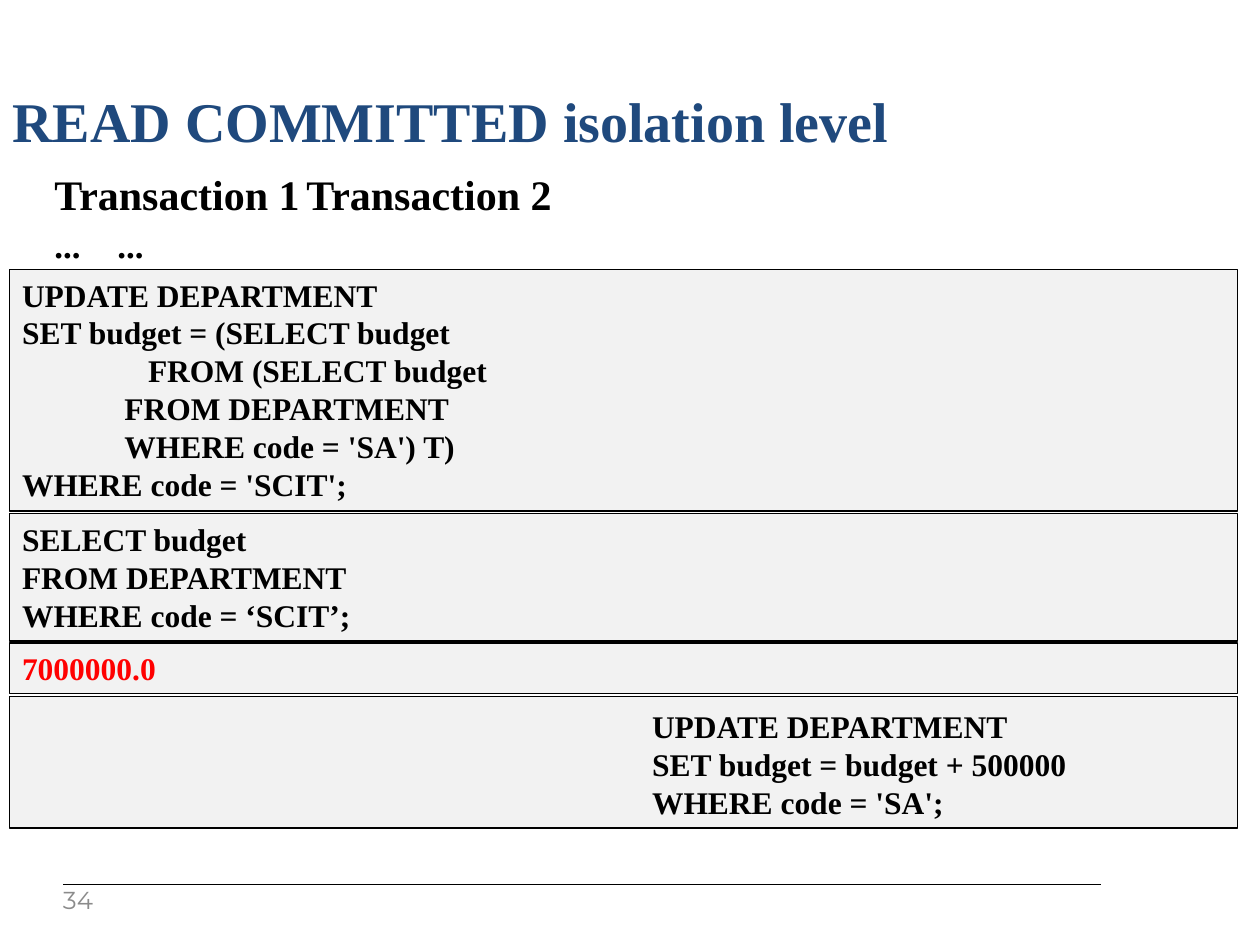
from dataclasses import dataclass

from lxml.etree import SubElement
from pptx import Presentation
from pptx.dml.color import RGBColor
from pptx.enum.shapes import MSO_CONNECTOR, MSO_SHAPE
from pptx.enum.text import MSO_ANCHOR, PP_ALIGN
from pptx.oxml.ns import qn
from pptx.util import Pt

SERIF = "Times New Roman"
BLACK, RED, BLUE, GREY, PALE = "000000", "FF0000", "1F497D", "8B8B8B", "F2F2F2"
LINE_HEIGHT = 1.2
COLUMN_2 = 360  # offset of the second transaction's column


@dataclass
class Line:
    text: str
    indent: float = 0
    size: float = 18
    color: str = BLACK
    font: str = SERIF
    bold: bool = True
    tab: float = 0
    height: float = 0  # line height, when it differs from the rule


@dataclass
class Panel:
    top: float
    height: float
    lines: list[Line]


def rgb(value: str) -> RGBColor:
    return RGBColor.from_string(value)


def write(sp, lines: list[Line], anchor=MSO_ANCHOR.TOP) -> None:
    tf = sp.text_frame
    tf.word_wrap = True
    tf.vertical_anchor = anchor
    for i, line in enumerate(lines):
        p = tf.add_paragraph() if i else tf.paragraphs[0]
        p.alignment = PP_ALIGN.LEFT
        p.line_spacing = Pt(line.height or line.size * LINE_HEIGHT)
        r = p.add_run()
        r.text = line.text
        r.font.size = Pt(line.size)
        r.font.name = line.font
        r.font.bold = line.bold
        r.font.color.rgb = rgb(line.color)
        pPr = p._p.get_or_add_pPr()
        pPr.set("marL", str(Pt(line.indent)))
        pPr.set("indent", "0")
        if line.tab:
            tabs = SubElement(pPr, qn("a:tabLst"))
            SubElement(tabs, qn("a:tab"), pos=str(Pt(line.tab)), algn="l")


def add_text(s, left: float, top: float, width: float, height: float,
             line: Line, anchor=MSO_ANCHOR.TOP):
    sp = s.shapes.add_textbox(Pt(left), Pt(top), Pt(width), Pt(height))
    write(sp, [line], anchor)
    return sp


def add_panel(s, panel: Panel) -> None:
    sp = s.shapes.add_shape(MSO_SHAPE.RECTANGLE, Pt(5.5), Pt(panel.top),
                            Pt(701.5), Pt(panel.height))
    sp.shadow.inherit = False
    sp.fill.solid()
    sp.fill.fore_color.rgb = rgb(PALE)
    sp.line.color.rgb = rgb(BLACK)
    sp.line.width = Pt(0.75)
    write(sp, panel.lines)


def add_rule(s, left: float, right: float, y: float) -> None:
    c = s.shapes.add_connector(MSO_CONNECTOR.STRAIGHT,
                               Pt(left), Pt(y), Pt(right), Pt(y))
    c.line.color.rgb = rgb(BLACK)
    c.line.width = Pt(0.75)
    SubElement(c._element.spPr, qn("a:effectLst"))


PANELS = [
    Panel(154, 138, [
        Line("UPDATE DEPARTMENT"),
        Line("SET budget = (SELECT budget"),
        Line("FROM (SELECT budget", indent=72),
        Line("FROM DEPARTMENT", indent=58.5),
        Line("WHERE code = 'SA') T)", indent=58.5),
        Line("WHERE code = 'SCIT';"),
    ]),
    Panel(293.6, 72.7, [
        Line("SELECT budget"),
        Line("FROM DEPARTMENT"),
        Line("WHERE code = ‘SCIT’;"),
    ]),
    Panel(367.4, 29, [Line("7000000.0", color=RED)]),
    Panel(398, 75.2, [
        Line("UPDATE DEPARTMENT", indent=COLUMN_2, height=24),
        Line("SET budget = budget + 500000", indent=COLUMN_2),
        Line("WHERE code = 'SA';", indent=COLUMN_2),
    ]),
]


def main() -> None:
    prs = Presentation()
    prs.slide_width, prs.slide_height = Pt(720), Pt(540)
    s = prs.slides.add_slide(prs.slide_layouts[6])

    # Title and column headings
    add_text(s, 0, 44.6, 720, 48.2,
             Line("READ COMMITTED isolation level", size=32, color=BLUE),
             MSO_ANCHOR.MIDDLE)
    add_text(s, 24, 93, 672, 36,
             Line("Transaction 1\tTransaction 2", size=24, tab=211.5))
    add_text(s, 24, 124, 672, 31, Line("...\t...", size=20, tab=COLUMN_2))

    # Statements in order of execution
    for panel in PANELS:
        add_panel(s, panel)

    # Footer
    add_rule(s, 36, 629.3, 505.4)
    number = add_text(s, 36, 508.3, 28.8, 15.1,
                      Line("34", size=14, color=GREY, font="Montserrat", bold=False),
                      MSO_ANCHOR.MIDDLE)
    tf = number.text_frame
    tf.margin_left = tf.margin_top = 0

    prs.save("out.pptx")


if __name__ == "__main__":
    main()
